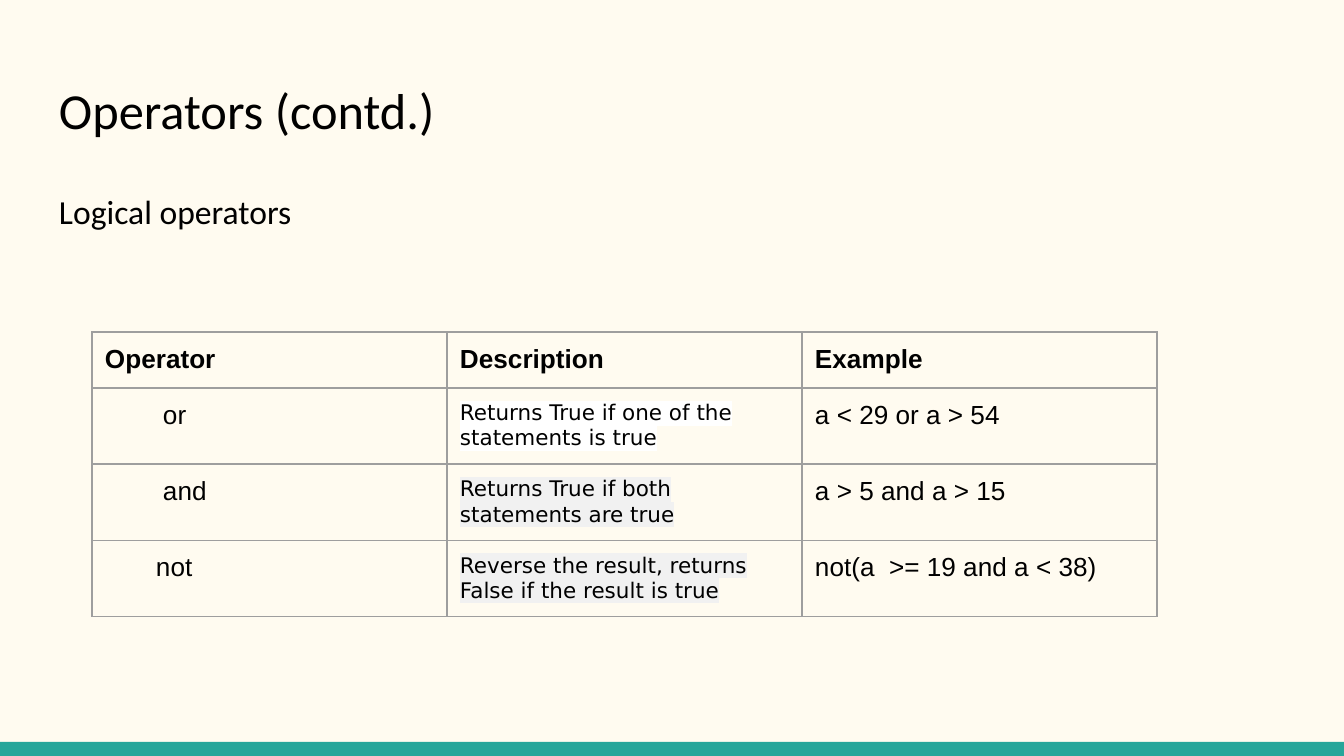
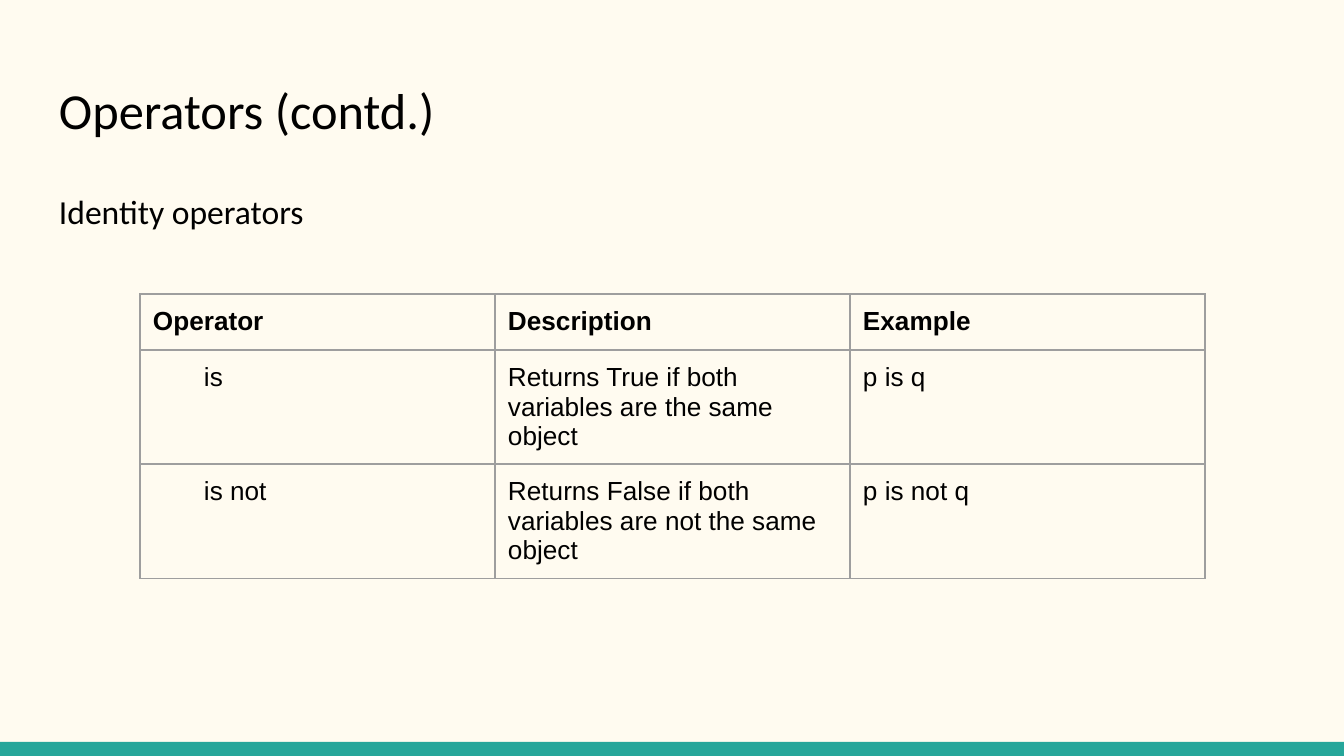
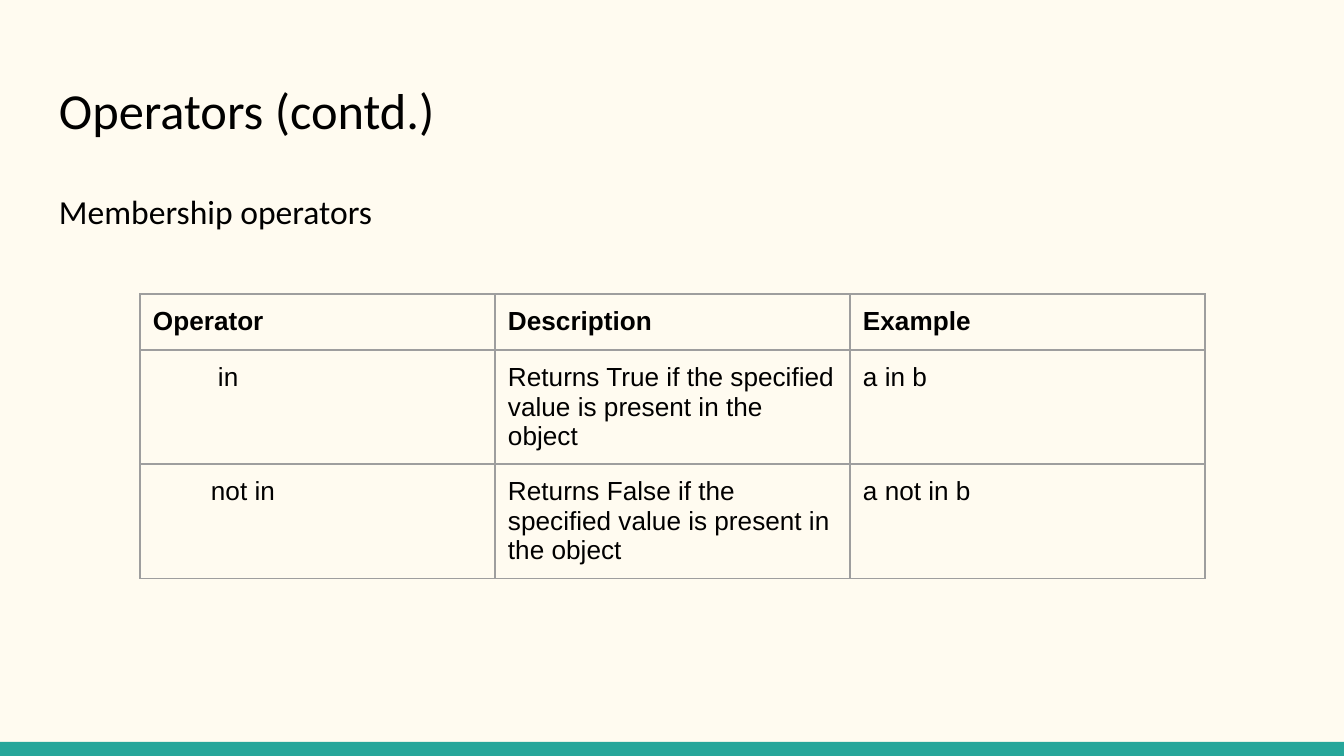
from lxml import etree
from pptx import Presentation, util as u
from pptx.dml.color import RGBColor
from pptx.enum import shapes, text
from pptx.oxml.ns import qn

PX = 914400 / 134.4
WIDE, HIGH = 1344, 756
INSET, COL, ROW = 13, 355, 56
INK = {"page": "FFFBF0", "band": "26A69A", "text": "000000",
       "rule": "9E9E9E", "white": "FFFFFF", "grey": "F1F1F1"}
HEADS = ("Operator", "Description", "Example")


def px(n):
    return u.Emu(round(n * PX))


def paint(fill, ink):
    fill.solid()
    fill.fore_color.rgb = RGBColor.from_string(INK[ink])


def style(para, face, size, bold=False):
    font = para.font
    font.name, font.size, font.bold = face, u.Pt(size), bold
    font.color.rgb = RGBColor.from_string(INK["text"])


def pad(box):
    """Give a text frame or a cell the same inset on all sides."""
    box.margin_left = box.margin_right = px(INSET)
    box.margin_top = box.margin_bottom = px(INSET)


def solid(parent, tag, ink):
    node = etree.SubElement(parent, qn(tag))
    etree.SubElement(node, qn("a:srgbClr"), val=INK[ink])


def set_master(deck, slide):
    """Put the page colour and the bottom band on the slide master."""
    master = deck.slide_master
    paint(master.background.fill, "page")
    band = slide.shapes.add_shape(shapes.MSO_SHAPE.RECTANGLE,
                                  0, px(742), px(WIDE), px(HIGH - 742))
    band.shadow.inherit = False
    paint(band.fill, "band")
    band.line.fill.background()
    master.shapes.element.append(band.element)


def fill_holder(holder, words, top, high, size):
    """Move a placeholder and set its one unbulleted line."""
    holder.left, holder.top = px(46), px(top)
    holder.width, holder.height = px(1252), px(high)
    frame = holder.text_frame
    frame.text = words
    frame.auto_size = text.MSO_AUTO_SIZE.NONE
    frame.vertical_anchor = text.MSO_ANCHOR.TOP
    pad(frame)
    para = frame.paragraphs[0]
    props = para._p.get_or_add_pPr()
    props.set("marL", "0")
    props.set("indent", "0")
    etree.SubElement(props, qn("a:buNone"))
    para.alignment = text.PP_ALIGN.LEFT
    para.space_before = u.Pt(0)
    style(para, "Calibri", size)
    return para


def rule_cell(cell):
    """Draw the four borders of a cell and leave it unfilled."""
    props = cell._tc.get_or_add_tcPr()
    for side in ("L", "R", "T", "B"):
        line = etree.SubElement(props, qn("a:ln" + side), w=str(u.Pt(0.75)))
        solid(line, "a:solidFill", "rule")
    cell.fill.background()


def add_grid(slide, left, top, rows, marks):
    """Rows hold (operator, indent in px, description, example)."""
    count = len(rows) + 1
    table = slide.shapes.add_table(count, len(HEADS), px(left), px(top),
                                   px(COL * len(HEADS)), px(ROW * count)).table
    table.first_row = table.horz_banding = False
    for col in table.columns:
        col.width = px(COL)
    lines = [HEADS] + [(name, note, case) for name, _, note, case in rows]
    for r, line in enumerate(lines):
        table.rows[r].height = px(ROW)
        for c, words in enumerate(line):
            cell = table.cell(r, c)
            cell.text = words
            pad(cell)
            rule_cell(cell)
            para = cell.text_frame.paragraphs[0]
            if r and c == 0:
                para._p.get_or_add_pPr().set("marL", str(px(rows[r - 1][1])))
            if r and c == 1 and marks:
                style(para, "DejaVu Sans", 11.5)
                solid(para.runs[0]._r.get_or_add_rPr(), "a:highlight", marks[r - 1])
            else:
                style(para, "Arial", 14, bold=r == 0)


def add_page(deck, topic, left, top, rows, marks=()):
    slide = deck.slides.add_slide(deck.slide_layouts[1])
    title, body = slide.placeholders
    fill_holder(title, "Operators (contd.)", 66, 90, 27)
    para = fill_holder(body, topic, 172, 500, 18)
    para.line_spacing, para.space_after = 1.15, u.Pt(12)
    add_grid(slide, left, top, rows, marks)
    return slide


def main():
    deck = Presentation()
    deck.slide_width, deck.slide_height = px(WIDE), px(HIGH)
    first = add_page(deck, "Logical operators", 92, 332, [
        ("or", 58, "Returns True if one of the statements is true", "a < 29 or a > 54"),
        ("and", 58, "Returns True if both statements are true", "a > 5 and a > 15"),
        ("not", 51, "Reverse the result, returns False if the result is true",
         "not(a  >= 19 and a < 38)"),
    ], ("white", "grey", "grey"))
    set_master(deck, first)
    add_page(deck, "Identity operators", 140, 294, [
        ("is", 51, "Returns True if both variables are the same object", "p is q"),
        ("is not", 51, "Returns False if both variables are not the same object",
         "p is not q"),
    ])
    add_page(deck, "Membership operators", 140, 294, [
        ("in", 65, "Returns True if the specified value is present in the object",
         "a in b"),
        ("not in", 58, "Returns False if the specified value is present in the object",
         "a not in b"),
    ])
    deck.save("out.pptx")


if __name__ == "__main__":
    main()
